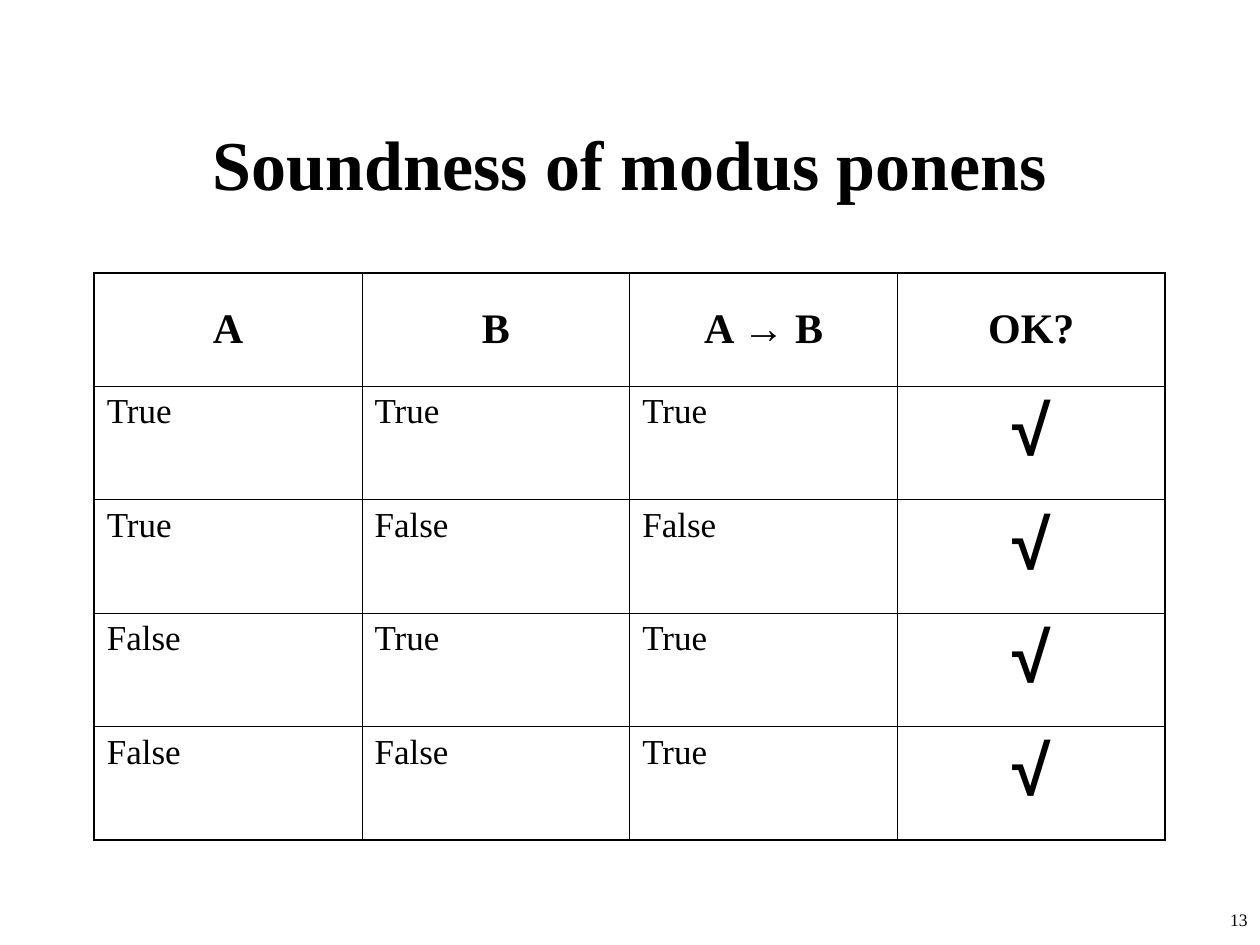
from lxml import etree
from pptx import Presentation
from pptx.dml.color import RGBColor
from pptx.enum.text import MSO_ANCHOR, PP_ALIGN
from pptx.oxml.ns import qn
from pptx.util import Cm, Pt

LEFT, CENTER, RIGHT = PP_ALIGN.LEFT, PP_ALIGN.CENTER, PP_ALIGN.RIGHT
TOP, MIDDLE = MSO_ANCHOR.TOP, MSO_ANCHOR.MIDDLE
BLACK = "000000"
SERIF = "Times New Roman"
THIN, THICK = Pt(0.45), Pt(1.08)


def write(frame, text, size, align, bold=False, name=SERIF):
    para = frame.paragraphs[0]
    para.text = text
    para.alignment = align
    para.font.size = Pt(size)
    para.font.bold = bold
    para.font.name = name
    para.font.color.rgb = RGBColor.from_string(BLACK)


def add_border(cell, side, width):
    line = etree.SubElement(cell._tc.get_or_add_tcPr(), qn(f"a:ln{side}"), w=str(width))
    fill = etree.SubElement(line, qn("a:solidFill"))
    etree.SubElement(fill, qn("a:srgbClr"), val=BLACK)


deck = Presentation()
deck.slide_width, deck.slide_height = Cm(25.4), Cm(19.05)
page = deck.slides.add_slide(deck.slide_layouts[5])

title = page.shapes.title
title.left, title.top, title.width, title.height = Cm(1.9), Cm(1.69), Cm(21.59), Cm(3.18)
title.text_frame.vertical_anchor = MIDDLE
write(title.text_frame, "Soundness of modus ponens", 40, CENTER, bold=True)

number_box = page.shapes.add_textbox(Cm(20.12), Cm(18.2), Cm(5.28), Cm(0.85))
number_box.text_frame.word_wrap = True
write(number_box.text_frame, "13", 10, RIGHT)

truth_rows = [
    ["A", "B", "A → B", "OK?"],
    ["True", "True", "True", "√"],
    ["True", "False", "False", "√"],
    ["False", "True", "True", "√"],
    ["False", "False", "True", "√"],
]
last_row, last_col = len(truth_rows) - 1, len(truth_rows[0]) - 1
table = page.shapes.add_table(
    last_row + 1, last_col + 1, Cm(1.9), Cm(5.5), Cm(21.59), Cm(11.43)
).table
table.first_row = False
table.horz_banding = False

for row, values in enumerate(truth_rows):
    for col, value in enumerate(values):
        cell = table.cell(row, col)
        cell.vertical_anchor = TOP if row else MIDDLE
        if row == 0:
            write(cell.text_frame, value, 24, CENTER, bold=True)
        elif col == last_col:
            write(cell.text_frame, value, 40, CENTER, bold=True, name="Arial")
        else:
            write(cell.text_frame, value, 20, LEFT)
        outer_sides = {"L": col == 0, "R": col == last_col, "T": row == 0, "B": row == last_row}
        for side, is_outer in outer_sides.items():
            add_border(cell, side, THICK if is_outer else THIN)
        cell.fill.background()

deck.save("out.pptx")
